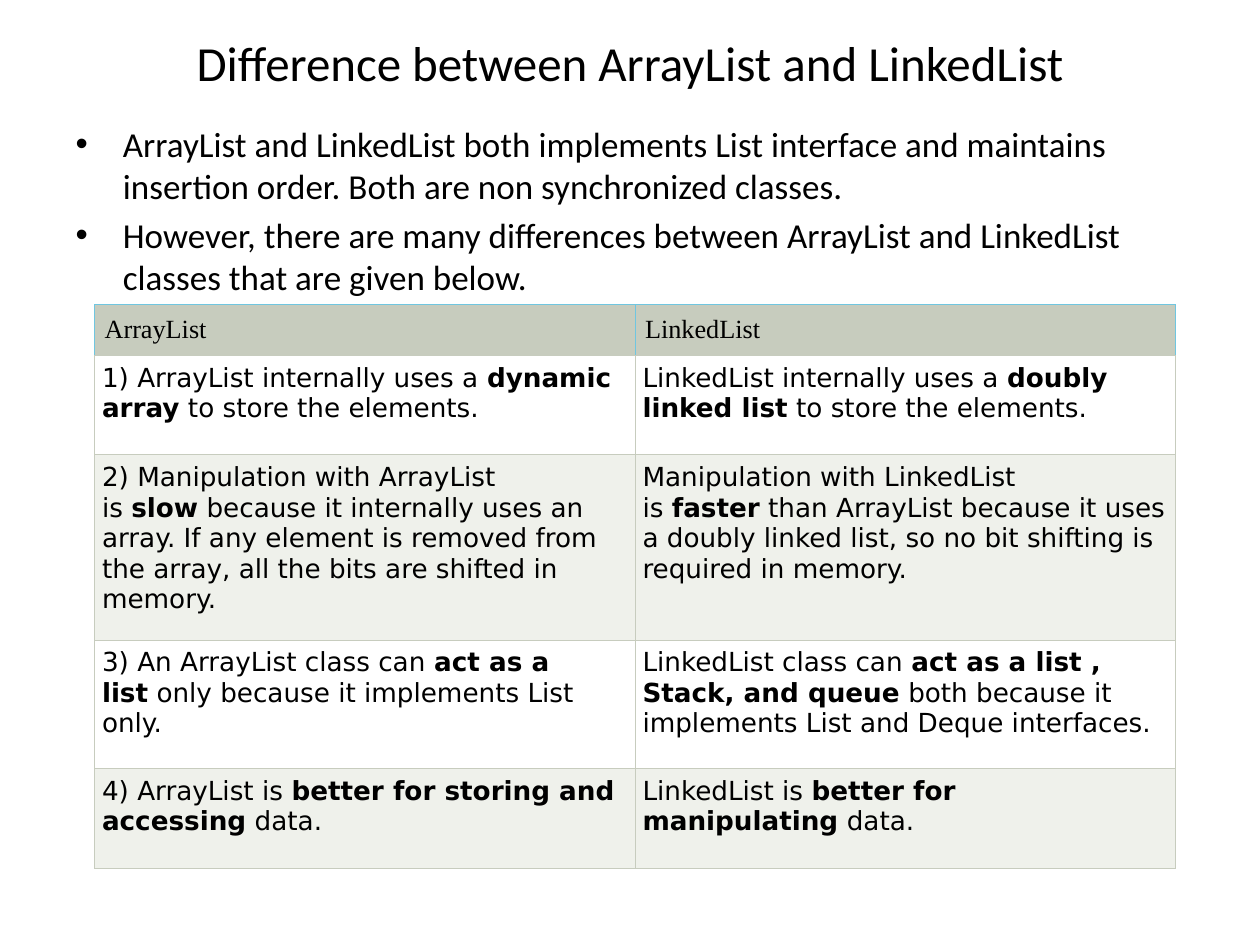
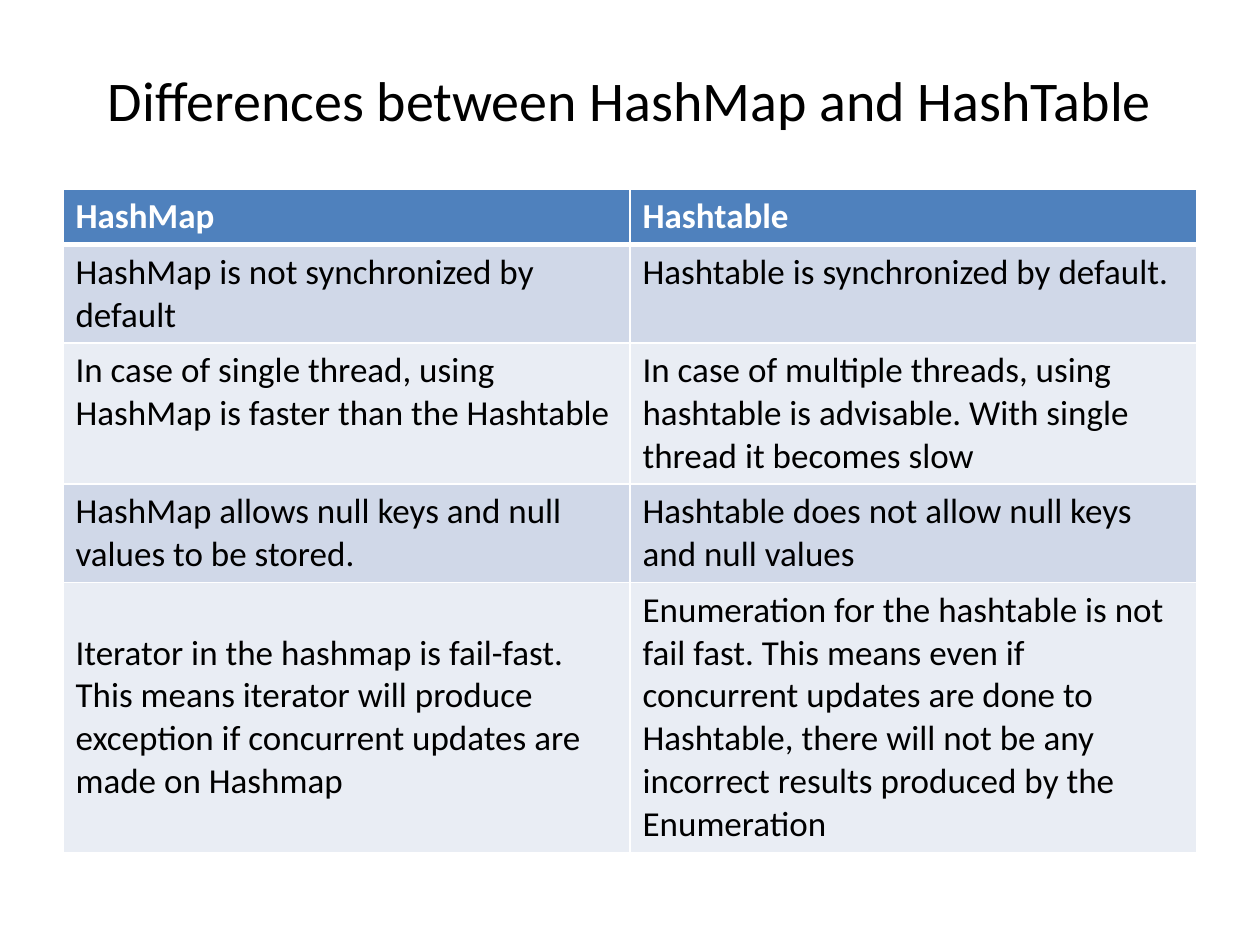
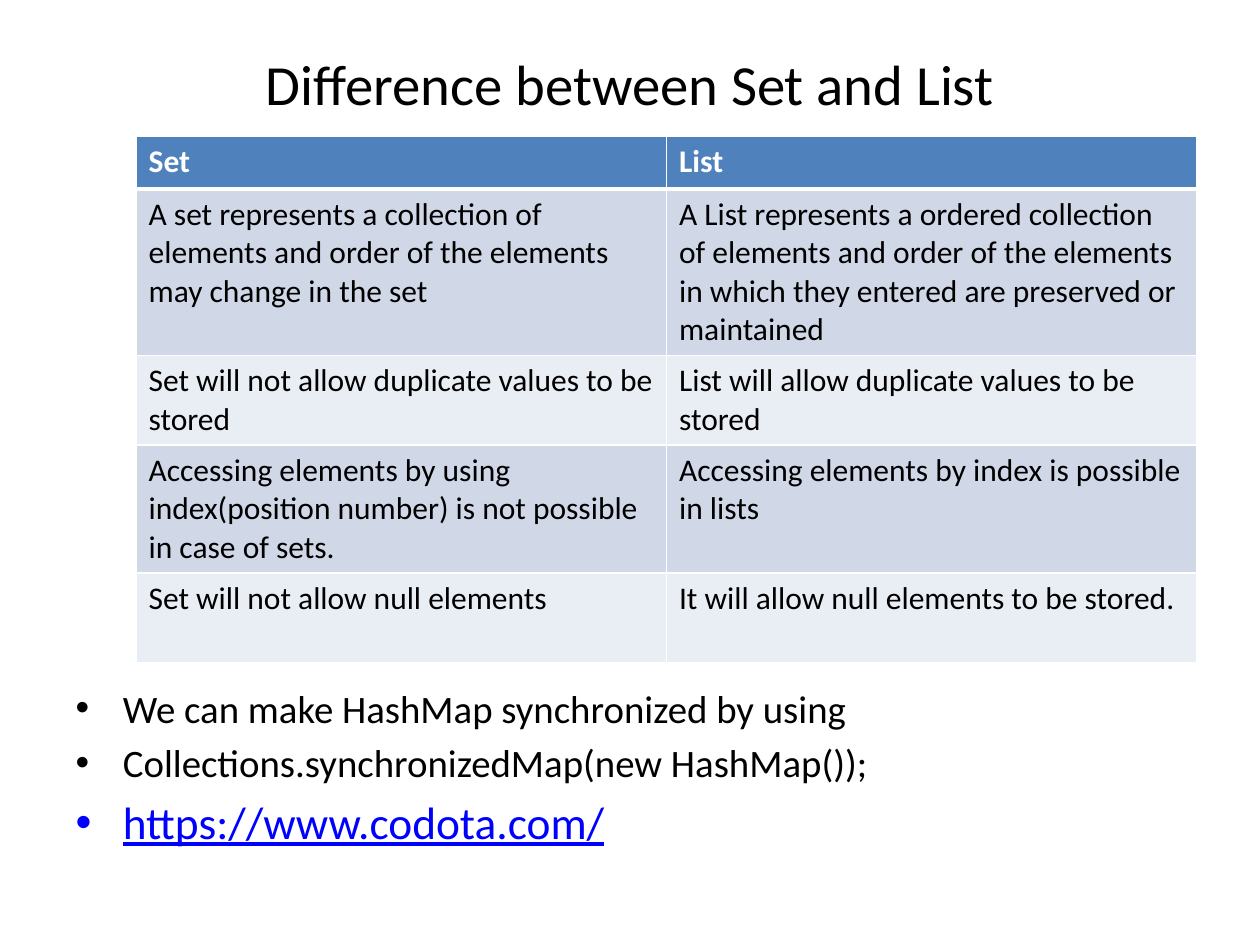
from typing import NamedTuple

from lxml import etree
from pptx import Presentation
from pptx import util as u
from pptx.dml.color import RGBColor
from pptx.enum import text as t
from pptx.oxml.ns import qn

# Slide grid: 100 columns by 75 rows
SLIDE_WIDTH, SLIDE_HEIGHT = u.Inches(10), u.Inches(7.5)
COLUMN, ROW = SLIDE_WIDTH / 100, SLIDE_HEIGHT / 75

COLORS = {
    "black": "000000", "white": "FFFFFF", "link": "0000FF",
    "blue": "4F81BD", "blue band": "D0D8E8", "pale band": "E9EDF4",
    "sage": "C7CCBE", "sage band": "EFF1EB", "sky": "70C6E0",
}
FONT = "Calibri"
NO_BREAK_SPACE = chr(160)
TITLE_ONLY, TITLE_AND_BODY = 5, 1


class Area(NamedTuple):
    """Left, top, width and height in grid units."""
    left: float
    top: float
    width: float
    height: float


class Style(NamedTuple):
    size: float
    font: str = FONT
    color: str = "black"
    bold: bool = False
    underline: bool = False


class Border(NamedTuple):
    color: str
    width: float


class TableLook(NamedTuple):
    header: Style
    body: Style
    header_fill: str
    bands: tuple[str, str]
    border: Border
    header_border: Border
    header_bottom: Border
    header_margins: tuple[float, float]
    body_margins: tuple[float, float]


class Emphasis(NamedTuple):
    """Cell text whose middle part is bold."""
    before: str
    strong: str
    after: str


CellText = str | Emphasis


def blue_look(size: float) -> TableLook:
    thin = Border("white", 1)
    return TableLook(
        Style(size, color="white", bold=True), Style(size), "blue",
        ("blue band", "pale band"), thin, thin, Border("white", 3),
        (0.1, 0.05), (0.1, 0.05))


SAGE_LINE = Border("sage", 0.6)
SAGE_LOOK = TableLook(
    Style(15, "Times New Roman"), Style(15, "DejaVu Sans"), "sage",
    ("white", "sage band"), SAGE_LINE, Border("sky", 0.6), SAGE_LINE,
    (0.08, 0.08), (0.06, 0.06))


def rgb(name: str) -> RGBColor:
    return RGBColor.from_string(COLORS[name])


def place(shape, area: Area) -> None:
    shape.left, shape.width = int(area.left * COLUMN), int(area.width * COLUMN)
    shape.top, shape.height = int(area.top * ROW), int(area.height * ROW)


def add_run(paragraph, words: str, style: Style) -> None:
    run = paragraph.add_run()
    run.text = words
    font = run.font
    font.name, font.size = style.font, u.Pt(style.size)
    font.bold, font.underline = style.bold, style.underline
    font.color.rgb = rgb(style.color)


def add_slide(presentation, layout: int, title: str, size: float, height: float):
    slide = presentation.slides.add_slide(presentation.slide_layouts[layout])
    shape = slide.shapes.title
    place(shape, Area(5, 3, 90, height))
    frame = shape.text_frame
    frame.auto_size = t.MSO_AUTO_SIZE.NONE
    frame.vertical_anchor = t.MSO_ANCHOR.MIDDLE
    paragraph = frame.paragraphs[0]
    paragraph.alignment = t.PP_ALIGN.CENTER
    add_run(paragraph, title, Style(size))
    return slide


def fill_body(slide, area: Area, bullets: list[tuple[str, Style]]) -> None:
    body = slide.placeholders[1]
    place(body, area)
    frame = body.text_frame
    frame.auto_size = t.MSO_AUTO_SIZE.NONE
    for index, (words, style) in enumerate(bullets):
        paragraph = frame.add_paragraph() if index else frame.paragraphs[0]
        paragraph.space_before = u.Pt(0.2 * style.size if index else 0)
        add_run(paragraph, words, style)


def set_borders(cell, borders: dict[str, Border]) -> None:
    """Borders go left, right, top, bottom, ahead of the cell's fill."""
    properties = cell._tc.get_or_add_tcPr()
    for index, (side, border) in enumerate(borders.items()):
        line = etree.Element(qn(f"a:ln{side}"), w=str(u.Pt(border.width)))
        fill = etree.SubElement(line, qn("a:solidFill"))
        etree.SubElement(fill, qn("a:srgbClr"), val=COLORS[border.color])
        properties.insert(index, line)


def fill_cell(cell, content: CellText, row: int, look: TableLook) -> None:
    is_header = row == 0
    style = look.header if is_header else look.body
    side, edge = look.header_margins if is_header else look.body_margins
    cell.margin_left = cell.margin_right = u.Inches(side)
    cell.margin_top = cell.margin_bottom = u.Inches(edge)
    cell.fill.solid()
    cell.fill.fore_color.rgb = rgb(
        look.header_fill if is_header else look.bands[(row - 1) % 2])
    borders = dict.fromkeys(
        "LRTB", look.header_border if is_header else look.border)
    if is_header:
        borders["B"] = look.header_bottom
    elif row == 1:
        borders["T"] = look.header_bottom
    set_borders(cell, borders)

    paragraph = cell.text_frame.paragraphs[0]
    if isinstance(content, Emphasis):
        add_run(paragraph, content.before + NO_BREAK_SPACE, style)
        add_run(paragraph, content.strong, style._replace(bold=True))
        add_run(paragraph, NO_BREAK_SPACE + content.after, style)
    else:
        add_run(paragraph, content, style)


def add_comparison(slide, left: float, top: float, width: float,
                   heights: list[float], rows: list[tuple[CellText, CellText]],
                   look: TableLook):
    """Draw a two-column table with the given row heights."""
    frame = slide.shapes.add_table(len(rows), 2, 0, 0, 0, 0)
    table = frame.table
    for column in table.columns:
        column.width = int(width * COLUMN / 2)
    for index, (height, contents) in enumerate(zip(heights, rows)):
        table.rows[index].height = int(height * ROW)
        for column, content in enumerate(contents):
            fill_cell(table.cell(index, column), content, index, look)
    place(frame, Area(left, top, width, sum(heights)))
    return table


def build_array_list_slide(presentation) -> None:
    slide = add_slide(presentation, TITLE_AND_BODY,
                      "Difference between ArrayList and LinkedList", 28, 3.9)
    fill_body(slide, Area(5, 9.2, 90, 57.8), [
        ("ArrayList and LinkedList both implements List interface and "
         "maintains insertion order. Both are non synchronized classes.",
         Style(20)),
        ("However, there are many differences between ArrayList and "
         "LinkedList classes that are given below.", Style(20)),
    ])
    rows = [
        ("ArrayList", "LinkedList"),
        (Emphasis("1) ArrayList internally uses a", "dynamic array",
                  "to store the elements."),
         Emphasis("LinkedList internally uses a", "doubly linked list",
                  "to store the elements.")),
        (Emphasis("2) Manipulation with ArrayList is", "slow",
                  "because it internally uses an array. If any element is "
                  "removed from the array, all the bits are shifted in memory."),
         Emphasis("Manipulation with LinkedList is", "faster",
                  "than ArrayList because it uses a doubly linked list, so no "
                  "bit shifting is required in memory.")),
        (Emphasis("3) An ArrayList class can", "act as a list",
                  "only because it implements List only."),
         Emphasis("LinkedList class can", "act as a list , Stack, and queue",
                  "both because it implements List and Deque interfaces.")),
        (Emphasis("4) ArrayList is", "better for storing and accessing", "data."),
         Emphasis("LinkedList is", "better for manipulating", "data.")),
    ]
    add_comparison(slide, 7.5, 24.2, 85.8, [4, 7.9, 14.7, 10.2, 7.9],
                   rows, SAGE_LOOK)


def build_hash_map_slide(presentation) -> None:
    slide = add_slide(presentation, TITLE_ONLY,
                      "Differences between HashMap and HashTable", 32, 9.8)
    rows = [
        ("HashMap", "Hashtable"),
        ("HashMap is not synchronized by default",
         "Hashtable is synchronized by default."),
        ("In case of single thread, using HashMap is faster than the Hashtable",
         "In case of multiple threads, using hashtable is advisable. With "
         "single thread it becomes slow"),
        ("HashMap allows null keys and null values to be stored.",
         "Hashtable does not allow null keys and null values"),
        ("Iterator in the hashmap is fail-fast. This means iterator will "
         "produce exception if concurrent updates are made on Hashmap",
         "Enumeration for the hashtable is not fail fast. This means even if "
         "concurrent updates are done to Hashtable, there will not be any "
         "incorrect results produced by the Enumeration"),
    ]
    table = add_comparison(slide, 5, 15, 90, [4.3, 7.8, 11.2, 7.8, 21.4],
                           rows, blue_look(20))
    table.cell(4, 0).vertical_anchor = t.MSO_ANCHOR.MIDDLE


def build_set_slide(presentation) -> None:
    slide = add_slide(presentation, TITLE_AND_BODY,
                      "Difference between Set and List", 32.4, 7.2)
    fill_body(slide, Area(5, 53.8, 90, 15), [
        ("We can make HashMap synchronized by using", Style(22.2)),
        ("Collections.synchronizedMap(new HashMap());", Style(22.2)),
        ("https://www.codota.com/", Style(25.9, color="link", underline=True)),
    ])
    rows = [
        ("Set", "List"),
        ("A set represents a collection of elements and order of the elements "
         "may change in the set",
         "A List represents a ordered collection of elements and order of the "
         "elements in which they entered are preserved or maintained"),
        ("Set will not allow duplicate values to be stored",
         "List will allow duplicate values to be stored"),
        ("Accessing elements by using index(position number) is not possible "
         "in case of sets.",
         "Accessing elements by index is possible in lists"),
        ("Set will not allow null elements",
         "It will allow null elements to be stored."),
    ]
    add_comparison(slide, 10.8, 10.8, 84.2, [4.2, 13.2, 7.1, 10.1, 7.1],
                   rows, blue_look(18))


def main() -> None:
    presentation = Presentation()
    presentation.slide_width = SLIDE_WIDTH
    presentation.slide_height = SLIDE_HEIGHT
    build_array_list_slide(presentation)
    build_hash_map_slide(presentation)
    build_set_slide(presentation)
    presentation.save("out.pptx")


if __name__ == "__main__":
    main()
